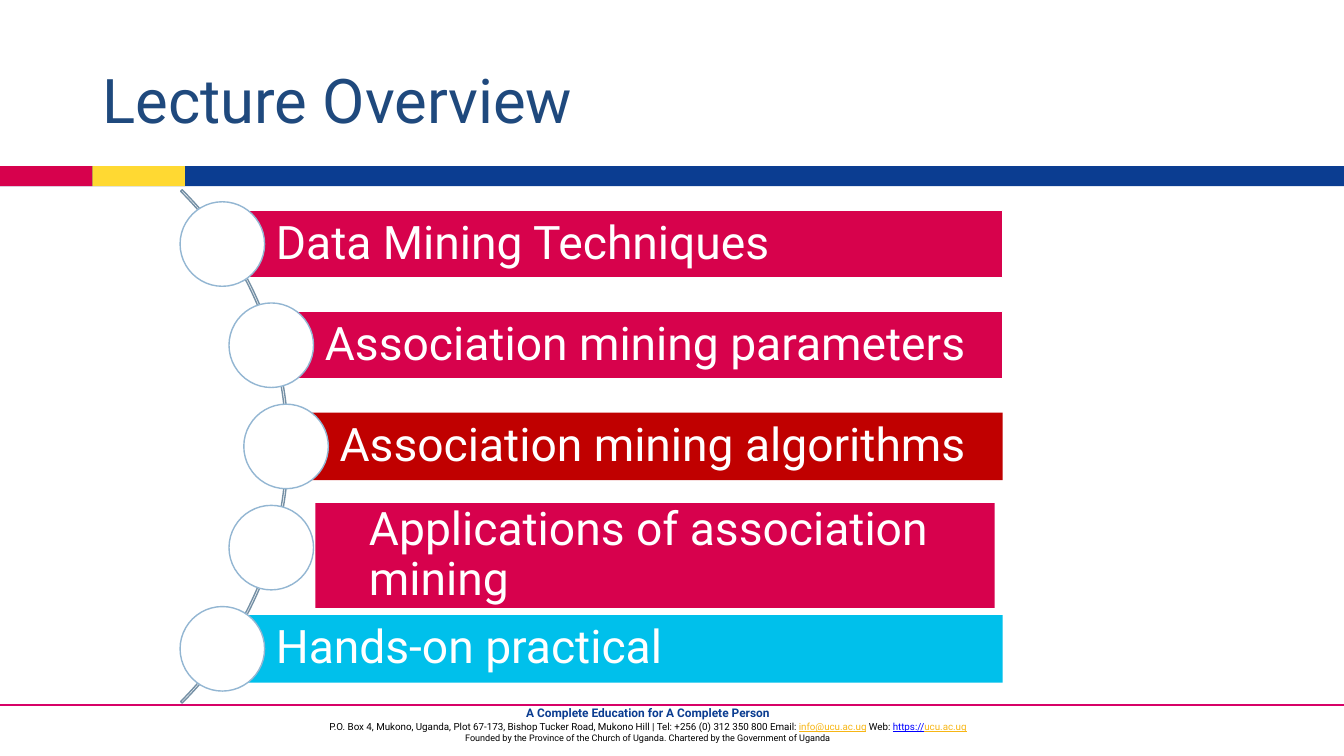
from collections import namedtuple
from dataclasses import dataclass
from math import sqrt

from lxml import etree
from pptx import Presentation
from pptx import util as u
from pptx.dml import color
from pptx.enum import shapes, text
from pptx.oxml import ns

Box = namedtuple("Box", "x y w h")
KIND = shapes.MSO_SHAPE


@dataclass(frozen=True)
class Theme:
    face: str = "Roboto"
    navy: str = "0B3D91"
    red: str = "D7014D"
    gold: str = "FFD932"
    rule: str = "D70167"
    ink: str = "1F497D"
    rose: str = "D7024C"
    dark: str = "C00000"
    sky: str = "00C0EB"
    white: str = "FFFFFF"
    ring: str = "93B6D2"
    arc: str = "7590A5"
    black: str = "000000"
    blue: str = "0000FF"
    link: str = "F7B615"
    title: float = 44
    item: float = 33
    motto: float = 8.5
    small: float = 7
    tiny: float = 6.5


T = Theme()


def rgb(code):
    return color.RGBColor.from_string(code)


def apply(obj, vals):
    """Set each named attribute of obj."""
    for name, val in vals.items():
        setattr(obj, name, val)


def place(box):
    return [u.Cm(v) for v in box]


def draw(slide, kind, box, fill=None, line=None):
    """Add a flat shape; None means no fill or no outline."""
    shape = slide.shapes.add_shape(kind, *place(box))
    shape.shadow.inherit = False
    if fill:
        shape.fill.solid()
        shape.fill.fore_color.rgb = rgb(fill)
    else:
        shape.fill.background()
    if line:
        shape.line.color.rgb = rgb(line)
        shape.line.width = u.Pt(1)
    else:
        shape.line.fill.background()
    return shape


def frame(shape, pads, anchor):
    """Set wrapping, insets (left, top, right, bottom) and anchor."""
    sides = ("margin_left", "margin_top", "margin_right", "margin_bottom")
    vals = {side: u.Cm(pad) for side, pad in zip(sides, pads)}
    apply(shape.text_frame, vals | {"word_wrap": True, "vertical_anchor": anchor})
    return shape.text_frame


def write(para, words, size, tint, **more):
    run = para.add_run()
    run.text = words
    apply(run.font, {"name": T.face, "size": u.Pt(size)} | more)
    run.font.color.rgb = rgb(tint)


def label(shape, words, size, tint, pads):
    """Write one left-aligned, vertically centred paragraph."""
    para = frame(shape, pads, text.MSO_ANCHOR.MIDDLE).paragraphs[0]
    apply(para, {"alignment": text.PP_ALIGN.LEFT, "line_spacing": 0.9})
    write(para, words, size, tint)


def band(slide, box):
    """Draw the three-colour stripe: two short ends, then the long one."""
    end = 2.33
    parts = ((0, box.w, T.navy), (0, end, T.red), (end, end, T.gold))
    for left, wide, fill in parts:
        draw(slide, KIND.RECTANGLE, Box(box.x + left, box.y, wide, box.h), fill)


def head(slide, box):
    shape = slide.shapes.add_textbox(*place(box))
    label(shape, "Lecture Overview", T.title, T.ink, (0.25, 0.13, 0.25, 0.13))


def foot(slide, box):
    """Draw the rule across the slide and the address lines below it."""
    ends = place((box.x, box.y + 0.1, box.x + box.w, box.y + 0.1))
    line = slide.shapes.add_connector(shapes.MSO_CONNECTOR.STRAIGHT, *ends)
    line.line.color.rgb = rgb(T.rule)
    line.line.width = u.Pt(1)
    etree.SubElement(line._element.spPr, ns.qn("a:effectLst"))

    area = Box(box.x + 5.89, box.y, 20.88, box.h)
    shape = slide.shapes.add_textbox(*place(area))
    body = frame(shape, (0.25, 0.13, 0.25, 0.13), text.MSO_ANCHOR.TOP)
    para = body.paragraphs[0]
    write(para, "A Complete Education for A Complete Person",
          T.motto, T.navy, bold=True)
    para.add_line_break()
    place_line = ("P.O. Box 4, Mukono, Uganda, Plot 67-173, Bishop Tucker Road, "
                  "Mukono Hill | Tel: +256 (0) 312 350 800 Email: ")
    parts = (
        (place_line, T.black, False),
        ("info@ucu.ac.ug", T.link, True),
        (" Web: ", T.black, False),
        ("https://", T.blue, True),
        ("ucu.ac.ug", T.link, True),
    )
    for words, tint, under in parts:
        write(para, words, T.small, tint, underline=under)
    last = body.add_paragraph()
    write(last, "Founded by the Province of the Church of Uganda. "
          "Chartered by the Government of Uganda", T.tiny, T.black)
    for para in body.paragraphs:
        para.alignment = text.PP_ALIGN.CENTER


def agenda(slide, box):
    """Hang bars and circles along an arc at the left of the box."""
    step, tall, ring = 2.55, 1.7, 2.13
    size, bend = 18.29, 8.9
    mid = box.y + box.h / 2
    hub = box.x - 6.24
    pads = (1.35, 0.23, 0.23, 0.23)
    curve = draw(slide, KIND.BLOCK_ARC,
                 Box(box.x - 15.57, mid - size / 2, size, size), line=T.arc)
    for spot, val in enumerate((189, 27, 0.003)):
        curve.adjustments[spot] = val

    rows = (
        ("Data Mining Techniques", T.rose, T.white),
        ("Association mining parameters", T.rose, T.white),
        ("Association mining algorithms", T.dark, None),
        (None, None, None),
        ("Hands-on practical", T.sky, None),
    )
    for row, (words, fill, edge) in enumerate(rows):
        drop = (row - 2) * step
        x, y = hub + sqrt(bend ** 2 - drop ** 2), mid + drop
        if words:
            area = Box(x, y - tall / 2, box.x + box.w - x, tall)
            bar = draw(slide, KIND.RECTANGLE, area, fill, edge)
            label(bar, words, T.item, T.white, pads)
        draw(slide, KIND.OVAL, Box(x - ring / 2, y - ring / 2, ring, ring),
             T.white, T.ring)

    wide = Box(box.x + 3.4, mid + 1.43, 17.12, 2.64)
    bar = draw(slide, KIND.RECTANGLE, wide, T.red)
    label(bar, "Applications of association mining", T.item, T.white, pads)


def main():
    deck = Presentation()
    apply(deck, {"slide_width": u.Cm(33.87), "slide_height": u.Cm(19.05)})
    slide = deck.slides.add_slide(deck.slide_layouts[6])
    band(slide, Box(0, 4.19, 33.87, 0.5))
    foot(slide, Box(0, 17.66, 33.87, 1.19))
    head(slide, Box(2.33, 1.02, 29.21, 3.18))
    agenda(slide, Box(4.55, 4.75, 20.72, 13))
    deck.save("out.pptx")


if __name__ == "__main__":
    main()
